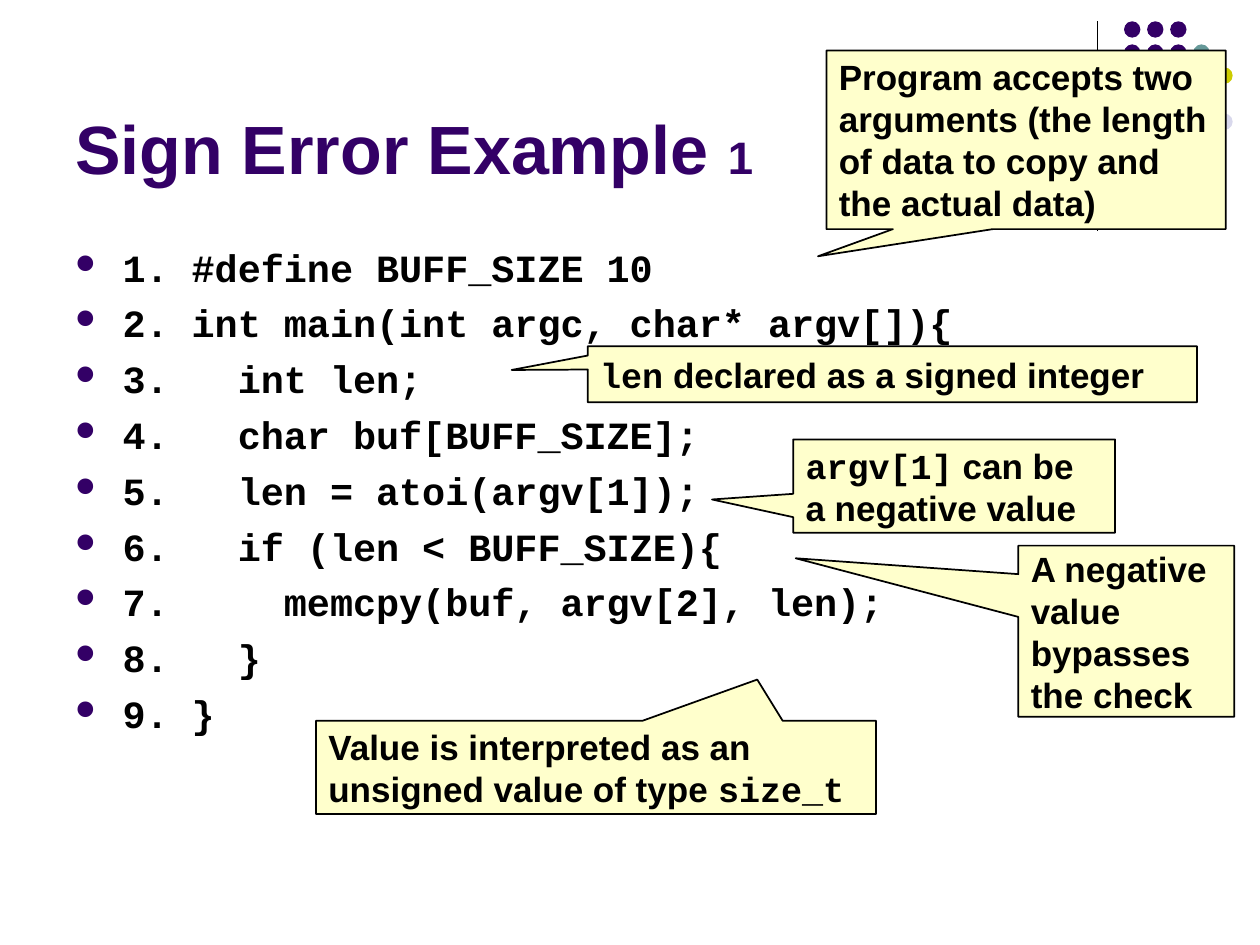
from lxml.etree import SubElement
from pptx import Presentation
from pptx.dml.color import RGBColor
from pptx.enum.shapes import MSO_CONNECTOR, MSO_SHAPE
from pptx.enum.text import MSO_ANCHOR as Anchor, MSO_AUTO_SIZE as AutoSize, PP_ALIGN as Align
from pptx.oxml.ns import qn
from pptx.util import Cm, Pt

COLORS = {
    "purple": "330066", "teal": "669999", "olive": "CCCC00",
    "lilac": "D8D8EC", "cream": "FFFFCC", "black": "000000",
}
DOT_COLORS = {"P": "purple", "T": "teal", "Y": "olive", "L": "lilac"}
DOT_ROWS = ["PPP", "PPPT", "PPTTY", "PTTY", "TTYYL", "TYYL", "YYLL", " L L"]
SANS, MONO = "Arial", "Courier New"
CODE_LINES = [
    "1. #define BUFF_SIZE 10",
    "2. int main(int argc, char* argv[]){",
    "3.   int len;",
    "4.   char buf[BUFF_SIZE];",
    "5.   len = atoi(argv[1]);",
    "6.   if (len < BUFF_SIZE){",
    "7.     memcpy(buf, argv[2], len);",
    "8.   }",
    "9. }",
]
CALLOUTS = [
    ((16.66, 1.02, 8.05, 3.6), (-0.521, 0.652),
     [("Program accepts two arguments (the length of data to copy and the actual data)", SANS)]),
    ((11.85, 6.98, 12.28, 1.13), (-0.625, -0.076),
     [("len", MONO), (" declared as a signed integer", SANS)]),
    ((15.99, 8.86, 6.49, 1.88), (-0.752, 0.144),
     [("argv[1]", MONO), (" can be a negative value", SANS)]),
    ((20.53, 11, 4.35, 3.45), (-1.532, -0.426),
     [("A negative value bypasses the check", SANS)]),
    ((6.37, 14.53, 11.29, 1.88), (0.288, -0.942),
     [("Value is interpreted as an unsigned value of type ", SANS), ("size_t", MONO)]),
]


class CodeSlide:
    """Style and drawing methods for the current code slide."""

    frame_format = {"word_wrap": True, "auto_size": AutoSize.NONE,
                    "margin_left": Cm(0.25), "margin_right": Cm(0.25),
                    "margin_top": Cm(0.13), "margin_bottom": Cm(0.13)}

    def __init__(self, presentation):
        self.slide = presentation.slides.add_slide(presentation.slide_layouts[1])

    def apply(self, target, values):
        for name, value in values.items():
            setattr(target, name, value)

    def color(self, name):
        return RGBColor.from_string(COLORS[name])

    def place(self, shape, box):
        self.apply(shape, dict(zip(("left", "top", "width", "height"), map(Cm, box))))

    def frame(self, shape, anchor):
        text_frame = shape.text_frame
        self.apply(text_frame, {**self.frame_format, "vertical_anchor": anchor})
        return text_frame

    def run(self, paragraph, text, font, size, color="black"):
        run = paragraph.add_run()
        run.text = text
        self.apply(run.font, {"name": font, "size": Pt(size), "bold": True})
        run.font.color.rgb = self.color(color)

    def bullet(self, paragraph):
        properties = paragraph._p.get_or_add_pPr()
        self_indent = Cm(0.95)
        properties.set("marL", str(self_indent))
        properties.set("indent", str(-self_indent))
        color = SubElement(properties, qn("a:buClr"))
        SubElement(color, qn("a:srgbClr"), val=COLORS["purple"])
        SubElement(properties, qn("a:buSzPct"), val="70000")
        SubElement(properties, qn("a:buFont"), typeface="Wingdings", charset="2")
        SubElement(properties, qn("a:buChar"), char="l")

    def title(self, box, runs):
        shape = self.slide.shapes.title
        self.place(shape, box)
        paragraph = self.frame(shape, Anchor.BOTTOM).paragraphs[0]
        paragraph.alignment = Align.LEFT
        for text, size in runs:
            self.run(paragraph, text, SANS, size, "purple")

    def code(self, box, lines):
        shape = self.slide.placeholders[1]
        self.place(shape, box)
        text_frame = self.frame(shape, Anchor.TOP)
        for index, line in enumerate(lines):
            paragraph = text_frame.add_paragraph() if index else text_frame.paragraphs[0]
            paragraph.space_before = Pt(5.5 if index else 0)
            self.bullet(paragraph)
            self.run(paragraph, line, MONO, 22)

    def rule(self, x, top, bottom):
        line = self.slide.shapes.add_connector(
            MSO_CONNECTOR.STRAIGHT, Cm(x), Cm(top), Cm(x), Cm(bottom))
        line.line.color.rgb = self.color("black")
        line.line.width = Pt(0.75)
        SubElement(line._element.spPr, qn("a:effectLst"))

    def shape(self, kind, box, fill):
        shape = self.slide.shapes.add_shape(kind, *map(Cm, box))
        shape.shadow.inherit = False
        shape.fill.solid()
        shape.fill.fore_color.rgb = self.color(fill)
        return shape

    def dots(self, left, top, pitch, size):
        for row, keys in enumerate(DOT_ROWS):
            for column, key in enumerate(keys):
                if key in DOT_COLORS:
                    box = (left + column * pitch, top + row * pitch, size, size)
                    dot = self.shape(MSO_SHAPE.OVAL, box, DOT_COLORS[key])
                    dot.line.fill.background()

    def callout(self, box, tip, runs):
        shape = self.shape(MSO_SHAPE.RECTANGULAR_CALLOUT, box, "cream")
        shape.adjustments[0], shape.adjustments[1] = tip
        shape.line.color.rgb = self.color("black")
        shape.line.width = Pt(1)
        paragraph = self.frame(shape, Anchor.MIDDLE).paragraphs[0]
        paragraph.alignment = Align.LEFT
        for text, font in runs:
            self.run(paragraph, text, font, 20)


def main():
    presentation = Presentation()
    presentation.slide_width, presentation.slide_height = Cm(25.4), Cm(19.05)
    page = CodeSlide(presentation)
    page.rule(22.12, 0.43, 4.65)
    page.dots(22.66, 0.43, 0.465, 0.33)
    page.title((1.27, 0.33, 20.96, 3.6), [("Sign Error Example ", 39), ("1", 26)])
    page.code((1.27, 4.78, 22.86, 12.24), CODE_LINES)
    for box, tip, runs in CALLOUTS:
        page.callout(box, tip, runs)
    presentation.save("out.pptx")


if __name__ == "__main__":
    main()
